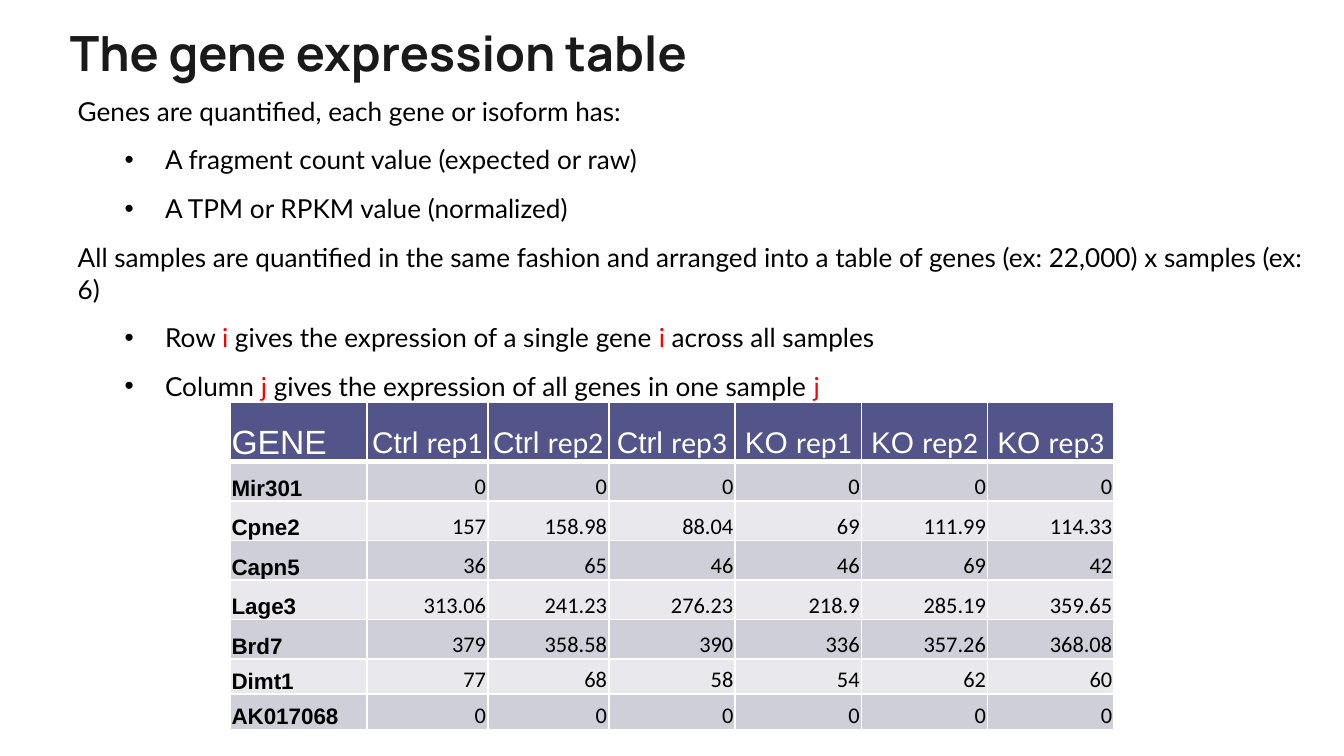
from dataclasses import dataclass

from lxml.etree import SubElement
from pptx import Presentation
from pptx.dml.color import RGBColor
from pptx.enum.text import MSO_ANCHOR, MSO_AUTO_SIZE, PP_ALIGN
from pptx.oxml.ns import qn
from pptx.util import Inches, Pt

BLACK = RGBColor(0x00, 0x00, 0x00)
WHITE = RGBColor(0xFF, 0xFF, 0xFF)
RED = RGBColor(0xFF, 0x00, 0x00)
TITLE_INK = RGBColor(0x1A, 0x1A, 0x1A)
HEADER_FILL = RGBColor(0x53, 0x54, 0x8A)
BAND_FILLS = (RGBColor(0xCF, 0xCF, 0xD9), RGBColor(0xE9, 0xE9, 0xED))

# A 16:9 slide; the layout grid is 100 columns wide, with square cells
SLIDE_WIDTH = Inches(10)
SLIDE_HEIGHT = SLIDE_WIDTH * 9 // 16
GRID_UNIT = SLIDE_WIDTH / 100


def grid(units: float) -> int:
    return round(units * GRID_UNIT)


@dataclass(frozen=True)
class Frame:
    """A place on the slide, in grid units."""
    left: float
    top: float
    width: float
    height: float

    def lengths(self) -> tuple:
        return tuple(map(grid, (self.left, self.top, self.width, self.height)))


@dataclass(frozen=True)
class Font:
    name: str
    size: float
    color: RGBColor = BLACK
    bold: bool = False


@dataclass(frozen=True)
class Line:
    """A line of body text; every second part between bars is an index."""
    text: str
    bulleted: bool = False
    space_before: float = 0


TITLE_FONT = Font("Manrope", 26, TITLE_INK, True)
BODY_FONT = Font("Lato", 14)
INDEX_FONT = Font("Lato", 14, RED)
CORNER_FONT = Font("Arial", 18, WHITE)
GROUP_FONT = Font("Arial", 16, WHITE)
REPLICATE_FONT = Font("Calibri", 16, WHITE)
GENE_FONT = Font("Arial", 12, bold=True)
VALUE_FONT = Font("Calibri", 12)

TITLE_FRAME = Frame(4.2, 1.2, 91.7, 5)
BODY_FRAME = Frame(4.8, 6.6, 94.3, 23.3)
COLUMN_WIDTHS = (10.2, 9, 9, 9.4, 9.4, 9.4, 9.4)
ROW_HEIGHTS = (4.4, 2.94, 2.94, 2.94, 2.94, 2.94, 2.6, 2.65)
TABLE_FRAME = Frame(17.1, 29.94, sum(COLUMN_WIDTHS), sum(ROW_HEIGHTS))
CELL_MARGIN = 0.13

LINES = (
    Line("Genes are quantified, each gene or isoform has:"),
    Line("A fragment count value (expected or raw)", True, 9.2),
    Line("A TPM or RPKM value (normalized)", True, 9.2),
    Line("All samples are quantified in the same fashion and arranged into "
         "a table of genes (ex: 22,000) x samples (ex: 6)", False, 9.6),
    Line("Row |i| gives the expression of a single gene |i| across all samples",
         True, 9.2),
    Line("Column |j| gives the expression of all genes in one sample |j",
         True, 9.2),
)
SAMPLES = [(group, f"rep{number}") for group in ("Ctrl ", "KO ")
           for number in (1, 2, 3)]
EXPRESSION = {
    "Mir301": ("0", "0", "0", "0", "0", "0"),
    "Cpne2": ("157", "158.98", "88.04", "69", "111.99", "114.33"),
    "Capn5": ("36", "65", "46", "46", "69", "42"),
    "Lage3": ("313.06", "241.23", "276.23", "218.9", "285.19", "359.65"),
    "Brd7": ("379", "358.58", "390", "336", "357.26", "368.08"),
    "Dimt1": ("77", "68", "58", "54", "62", "60"),
    "AK017068": ("0", "0", "0", "0", "0", "0"),
}


def add_span(para, text: str, font: Font) -> None:
    span = para.add_run()
    span.text = text
    span.font.name = font.name
    span.font.size = Pt(font.size)
    span.font.bold = font.bold
    span.font.color.rgb = font.color


def add_bullet(para) -> None:
    para.level = 1
    properties = para._p.get_or_add_pPr()
    properties.set("marL", str(grid(6.5)))
    properties.set("indent", str(grid(-3)))
    color = SubElement(properties, qn("a:buClr"))
    SubElement(color, qn("a:srgbClr"), val=str(BLACK))
    SubElement(properties, qn("a:buFont"), typeface="Arial")
    SubElement(properties, qn("a:buChar"), char="•")


def prepare_frame(text_frame) -> None:
    text_frame.word_wrap = True
    text_frame.auto_size = MSO_AUTO_SIZE.NONE
    text_frame.vertical_anchor = MSO_ANCHOR.TOP


def set_title(page, text: str) -> None:
    title = page.shapes.title
    title.left, title.top, title.width, title.height = TITLE_FRAME.lengths()
    prepare_frame(title.text_frame)
    para = title.text_frame.paragraphs[0]
    para.alignment = PP_ALIGN.LEFT
    add_span(para, text, TITLE_FONT)


def add_body(page) -> None:
    box = page.shapes.add_textbox(*BODY_FRAME.lengths())
    prepare_frame(box.text_frame)
    for number, line in enumerate(LINES):
        para = (box.text_frame.add_paragraph() if number
                else box.text_frame.paragraphs[0])
        para.space_before = Pt(line.space_before)
        if line.bulleted:
            add_bullet(para)
        for part, text in enumerate(line.text.split("|")):
            add_span(para, text, INDEX_FONT if part % 2 else BODY_FONT)


def set_cell(cell, spans: list, alignment: PP_ALIGN, fill: RGBColor,
             bottom_border: float = 1) -> None:
    cell.margin_left = cell.margin_right = grid(CELL_MARGIN)
    cell.margin_top = grid(CELL_MARGIN)
    cell.margin_bottom = 0
    cell.vertical_anchor = MSO_ANCHOR.BOTTOM
    # Borders come before the fill in the cell's properties
    properties = cell._tc.get_or_add_tcPr()
    for side, width in zip("LRTB", (1, 1, 1, bottom_border)):
        border = SubElement(properties, qn(f"a:ln{side}"), w=str(Pt(width)))
        SubElement(SubElement(border, qn("a:solidFill")), qn("a:srgbClr"),
                   val=str(WHITE))
    cell.fill.solid()
    cell.fill.fore_color.rgb = fill
    para = cell.text_frame.paragraphs[0]
    para.alignment = alignment
    for text, font in spans:
        add_span(para, text, font)


def add_expression_table(page) -> None:
    table = page.shapes.add_table(len(ROW_HEIGHTS), len(COLUMN_WIDTHS),
                                  *TABLE_FRAME.lengths()).table
    for column, width in zip(table.columns, COLUMN_WIDTHS):
        column.width = grid(width)
    for row, height in zip(table.rows, ROW_HEIGHTS):
        row.height = grid(height)

    # Header row
    set_cell(table.cell(0, 0), [("GENE", CORNER_FONT)], PP_ALIGN.LEFT,
             HEADER_FILL, 3)
    for column, (group, replicate) in enumerate(SAMPLES, 1):
        set_cell(table.cell(0, column),
                 [(group, GROUP_FONT), (replicate, REPLICATE_FONT)],
                 PP_ALIGN.CENTER, HEADER_FILL, 3)

    # One banded row for each gene
    for row, (gene, values) in enumerate(EXPRESSION.items(), 1):
        fill = BAND_FILLS[(row - 1) % 2]
        set_cell(table.cell(row, 0), [(gene, GENE_FONT)], PP_ALIGN.LEFT, fill)
        for column, value in enumerate(values, 1):
            set_cell(table.cell(row, column), [(value, VALUE_FONT)],
                     PP_ALIGN.RIGHT, fill)


def main() -> None:
    deck = Presentation()
    deck.slide_width, deck.slide_height = SLIDE_WIDTH, SLIDE_HEIGHT
    page = deck.slides.add_slide(deck.slide_layouts.get_by_name("Title Only"))
    set_title(page, "The gene expression table")
    add_body(page)
    add_expression_table(page)
    deck.save("out.pptx")


if __name__ == "__main__":
    main()
